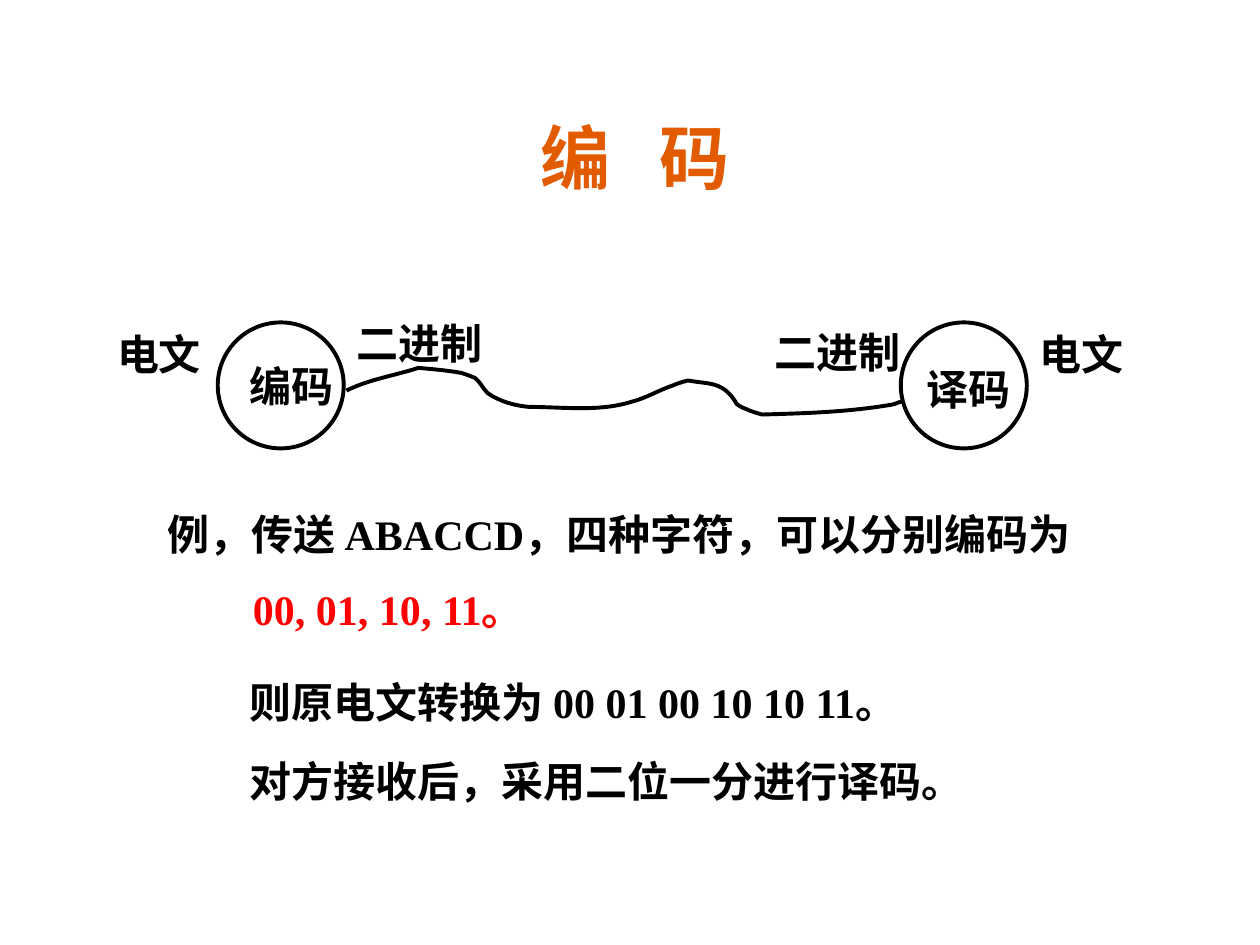
from pptx import Presentation
from pptx.dml.color import RGBColor
from pptx.enum.shapes import MSO_SHAPE
from pptx.enum.text import MSO_ANCHOR, MSO_AUTO_SIZE, PP_ALIGN
from pptx.oxml.ns import qn
from pptx.util import Cm, Pt
from lxml import etree

OVAL = MSO_SHAPE.OVAL
BOTTOM = MSO_ANCHOR.BOTTOM
CENTER = PP_ALIGN.CENTER
GROW = MSO_AUTO_SIZE.SHAPE_TO_FIT_TEXT
COLORS = {"title": "E25B00", "text": "000000", "code": "FF0000"}


def format_run(r, font, size, color):
    r.font.name = font
    r.font.size = Pt(size)
    r.font.bold = True
    r.font.color.rgb = RGBColor.from_string(COLORS[color])


def outline(sp):
    sp.shadow.inherit = False
    sp.fill.background()
    sp.line.color.rgb = RGBColor.from_string(COLORS["text"])
    sp.line.width = Pt(2.25)


prs = Presentation()
prs.slide_width, prs.slide_height = Cm(25.4), Cm(19.05)
s = prs.slides.add_slide(prs.slide_layouts[5])

# Title, with the two characters set apart by letter spacing
sp = s.shapes.title
sp.left, sp.top, sp.width, sp.height = Cm(1.9), Cm(2.01), Cm(21.79), Cm(2.11)
tf = sp.text_frame
tf.vertical_anchor = BOTTOM
p = tf.paragraphs[0]
p.alignment = CENTER
for text in ("编 ", "码"):
    r = p.add_run()
    r.text = text
    format_run(r, "Comic Neue", 40, "title")
p.runs[0].font._element.set("spc", "950")

# Encoder and decoder circles
for x in (4.39, 18.16):
    sp = s.shapes.add_shape(OVAL, Cm(x), Cm(6.5), Cm(2.54), Cm(2.54))
    outline(sp)

# Transmission line: a start, then three points per Bezier curve (1/100 inch)
start = (275, 310)
curves = [
    (293, 301), (314, 298), (332, 292),
    (343, 293), (355, 294), (366, 296),
    (370, 297), (377, 300), (377, 300),
    (381, 303), (383, 308), (387, 312),
    (397, 319), (409, 322), (420, 323),
    (447, 323), (475, 327), (501, 319),
    (513, 316), (522, 310), (534, 306),
    (538, 304), (546, 302), (546, 302),
    (563, 305), (571, 303), (581, 315),
    (583, 317), (584, 320), (585, 321),
    (588, 323), (590, 324), (593, 325),
    (597, 327), (605, 329), (605, 329),
    (641, 328), (674, 327), (709, 321),
    (715, 319), (713, 319), (716, 319),
]
pen = s.shapes.build_freeform(*start, scale=Cm(0.0254))
pen.add_line_segments(curves, close=False)
sp = pen.convert_to_shape()
outline(sp)
path = sp._element.find(".//" + qn("a:path"))
segments = path.findall(qn("a:lnTo"))
for i in range(0, len(segments), 3):
    curve = etree.SubElement(path, qn("a:cubicBezTo"))
    for segment in segments[i:i + 3]:
        curve.append(segment[0])
        path.remove(segment)

# Labels and explanation: left, top, width, text, colour, wrap
boxes = [
    (3.12, 10.13, 20.75, "例，传送 ABACCD，四种字符，可以分别编码为", "text", True),
    (4.78, 13.51, 14.17, "则原电文转换为 00 01 00 10 10 11。", "text", True),
    (4.78, 15.11, 14.17, "对方接收后，采用二位一分进行译码。", "text", True),
    (2.11, 6.5, 2.54, "电文", "text", True),
    (4.78, 7.14, 2.34, "编码", "text", True),
    (6.93, 6.27, 3.38, "二进制", "text", True),
    (15.37, 6.45, 3.38, "二进制", "text", True),
    (18.42, 7.21, 3.38, "译码", "text", True),
    (20.7, 6.5, 3.38, "电文", "text", True),
    (4.85, 11.63, 6.2, "00, 01, 10, 11。", "code", False),
]
for x, y, w, text, color, wrap in boxes:
    sp = s.shapes.add_textbox(Cm(x), Cm(y), Cm(w), Cm(1.27))
    tf = sp.text_frame
    tf.word_wrap = wrap
    tf.auto_size = GROW
    tf.text = text
    format_run(tf.paragraphs[0].runs[0], "Times New Roman", 24, color)

prs.save("out.pptx")
